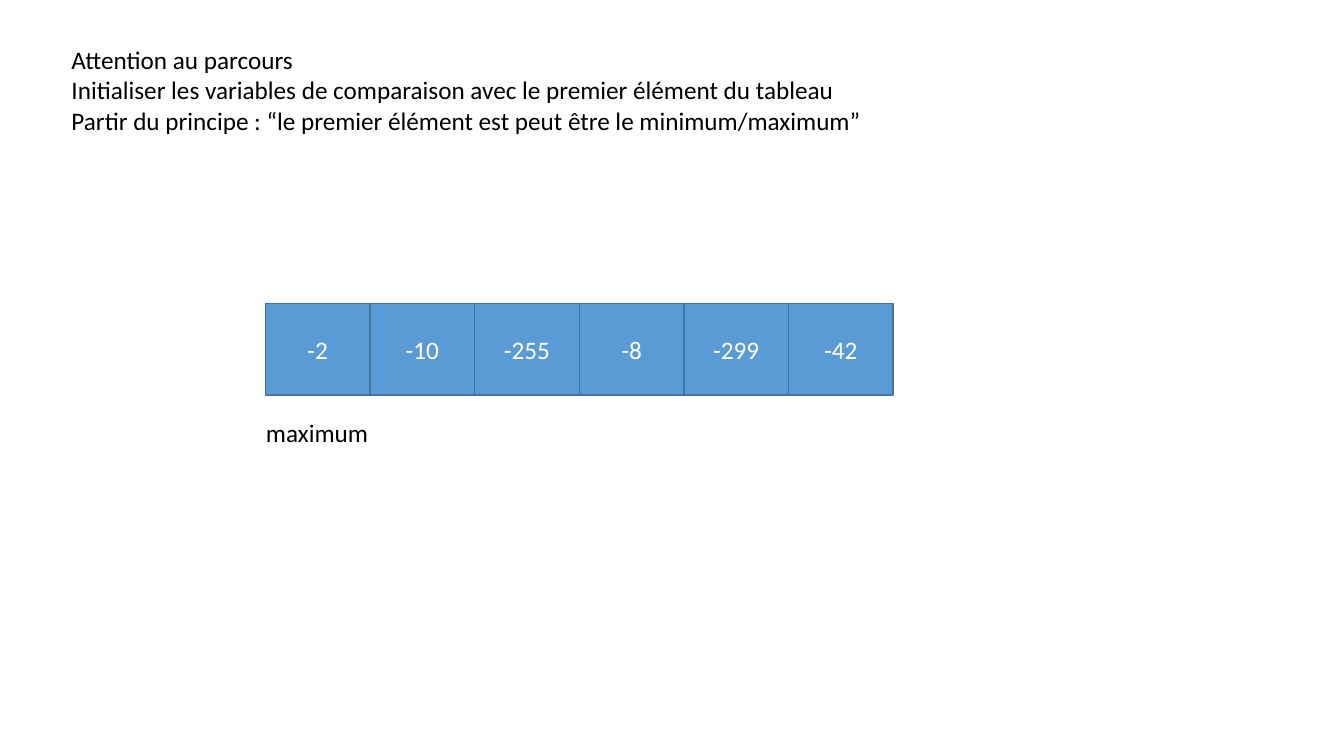
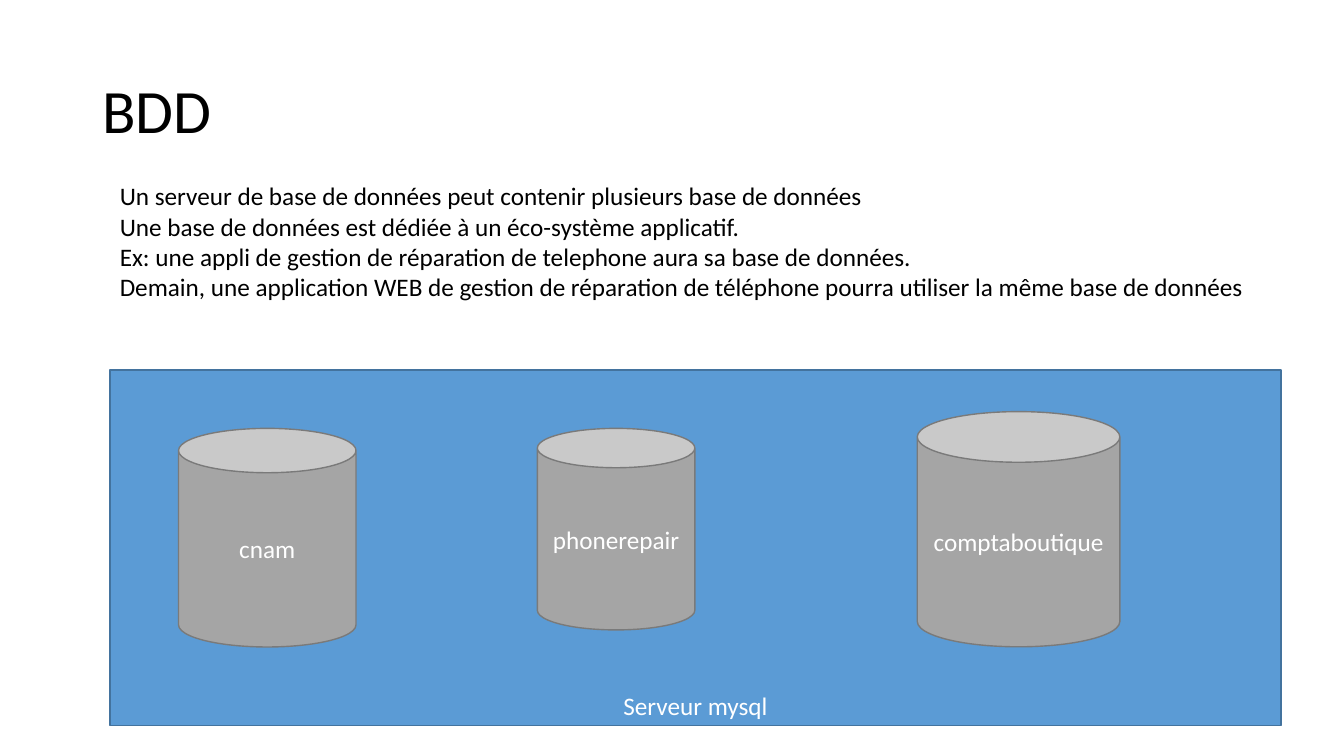
from pptx import Presentation
from pptx.dml.color import RGBColor
from pptx.enum.shapes import MSO_SHAPE as Shape
from pptx.enum.text import MSO_ANCHOR as Anchor, MSO_AUTO_SIZE as AutoSize, PP_ALIGN as Align
from pptx.util import Pt

COLORS = {
    "text": "000000",
    "light": "FFFFFF",
    "blue": "5B9BD5",
    "blue_line": "43739E",
    "gray": "A5A5A5",
    "gray_line": "7A7A7A",
}
FONT = "Calibri"
BODY_SIZE = 18
TITLE_SIZE = 44


def color(name):
    return RGBColor.from_string(COLORS[name])


def set_attributes(target, values):
    for name, value in values.items():
        setattr(target, name, value)


def write_lines(frame, lines, font_color, size=BODY_SIZE, **paragraph_format):
    for index, line in enumerate(lines):
        paragraph = frame.add_paragraph() if index else frame.paragraphs[0]
        paragraph.text = line
        set_attributes(paragraph, paragraph_format)
        set_attributes(paragraph.font, {"name": FONT, "size": Pt(size)})
        paragraph.font.color.rgb = color(font_color)


def add_title(slide, text):
    box = slide.shapes.add_textbox(Pt(66), Pt(28.75), Pt(828), Pt(104.4))
    set_attributes(box.text_frame, {"word_wrap": True, "vertical_anchor": Anchor.MIDDLE})
    write_lines(box.text_frame, [text], "text", TITLE_SIZE, line_spacing=0.9)


def add_text(slide, lines, left, top, width, height):
    box = slide.shapes.add_textbox(Pt(left), Pt(top), Pt(width), Pt(height))
    set_attributes(box.text_frame, {"word_wrap": False, "auto_size": AutoSize.SHAPE_TO_FIT_TEXT})
    write_lines(box.text_frame, lines, "text")


def add_block(parent, kind, label, bounds, fill, anchor=Anchor.MIDDLE):
    shape = parent.shapes.add_shape(kind, *map(Pt, bounds))
    shape.shadow.inherit = False
    shape.fill.solid()
    shape.fill.fore_color.rgb = color(fill)
    shape.line.color.rgb = color(f"{fill}_line")
    shape.line.width = Pt(1)
    set_attributes(shape.text_frame, {"word_wrap": True, "vertical_anchor": anchor})
    write_lines(shape.text_frame, [label], "light", alignment=Align.CENTER)


def add_array(slide, values, left, top, cell_width, cell_height):
    group = slide.shapes.add_group_shape()
    for index, value in enumerate(values):
        bounds = (left + index * cell_width, top, cell_width, cell_height)
        add_block(group, Shape.RECTANGLE, str(value), bounds, "blue")


def build_array_slide(slide):
    add_array(slide, [-2, -10, -255, -8, -299, -42], 189.5, 216.7, 74.75, 65.5)
    add_text(slide, ["maximum"], 182.9, 294.5, 88.6, 29)
    add_text(slide, [
        "Attention au parcours",
        "Initialiser les variables de comparaison avec le premier élément du tableau",
        "Partir du principe : “le premier élément est peut être le minimum/maximum”",
    ], 44, 28.2, 585.4, 72.7)


def build_database_slide(slide):
    add_title(slide, "BDD")
    add_block(slide, Shape.RECTANGLE, "Serveur mysql", (78.5, 264.2, 836.6, 254.2),
              "blue", Anchor.BOTTOM)
    databases = {
        "cnam": (127.5, 306, 126.8, 156.2),
        "phonerepair": (383.8, 306, 112.5, 144),
        "comptaboutique": (655.2, 294, 144.7, 168),
    }
    for name, bounds in databases.items():
        add_block(slide, Shape.CAN, name, bounds, "gray")
    add_text(slide, [
        "Un serveur de base de données peut contenir plusieurs base de données",
        "Une base de données est dédiée à un éco-système applicatif.",
        "Ex: une appli de gestion de réparation de telephone aura sa base de données.",
        "Demain, une application WEB de gestion de réparation de téléphone pourra utiliser la même base de données",
    ], 78.5, 125.6, 820.8, 94.5)


def main():
    presentation = Presentation()
    set_attributes(presentation, {"slide_width": Pt(960), "slide_height": Pt(540)})
    blank_layout = presentation.slide_layouts[6]
    for build in (build_array_slide, build_database_slide):
        build(presentation.slides.add_slide(blank_layout))
    presentation.save("out.pptx")


if __name__ == "__main__":
    main()
